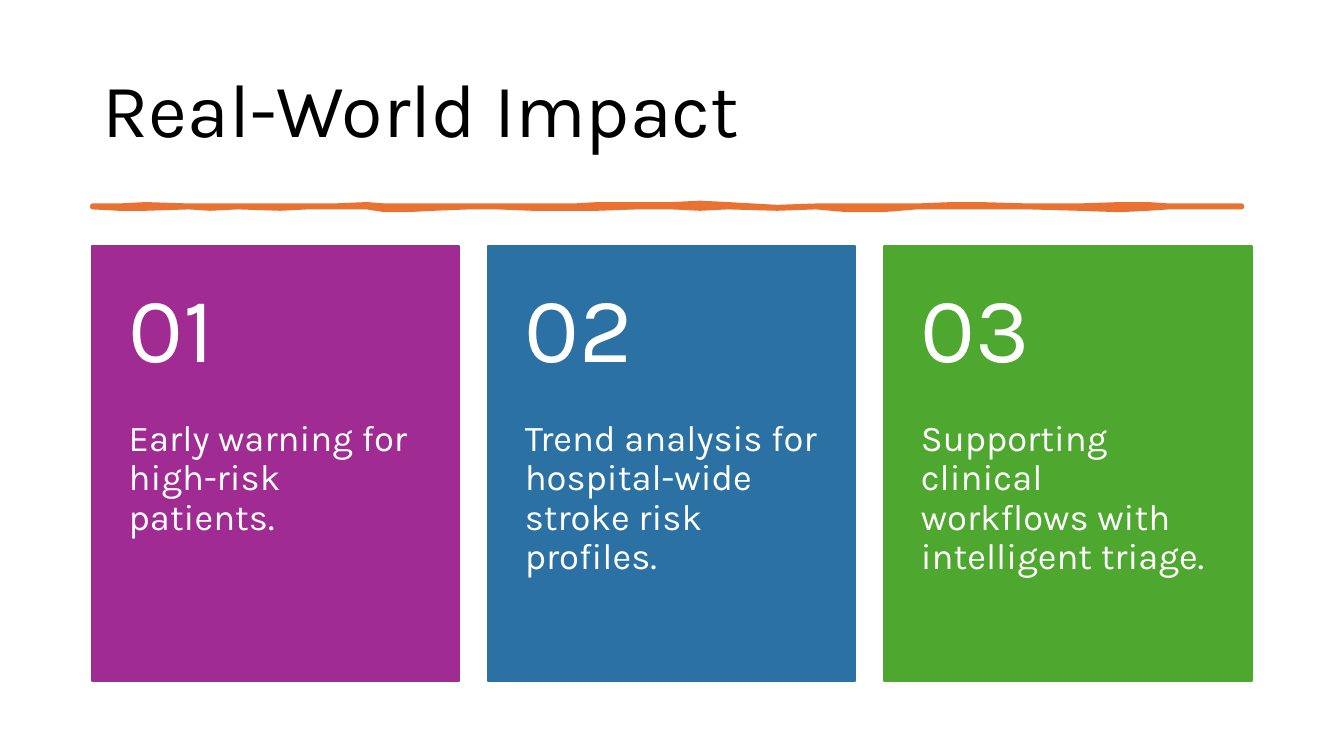
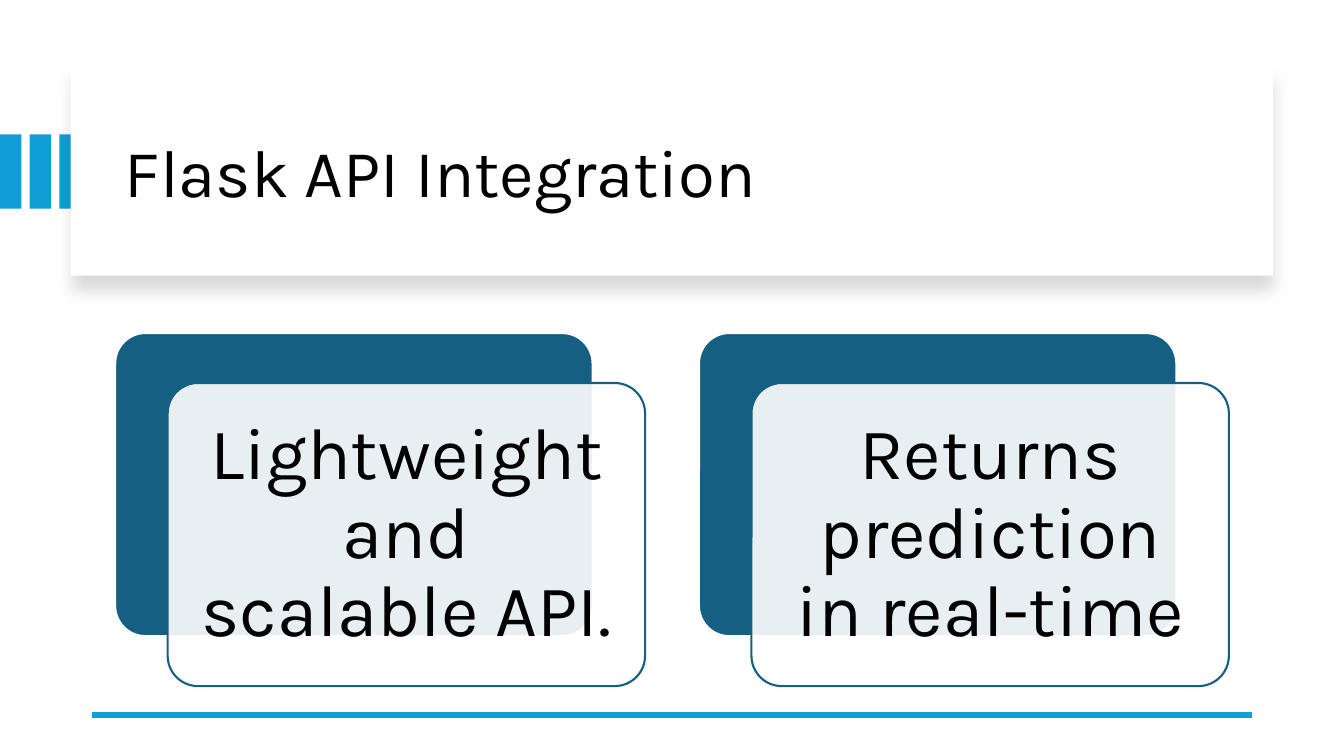
from dataclasses import dataclass

from lxml import etree
from pptx import Presentation
from pptx.dml.color import RGBColor
from pptx.enum.shapes import MSO_CONNECTOR, MSO_SHAPE
from pptx.enum.text import MSO_ANCHOR, MSO_AUTO_SIZE, PP_ALIGN
from pptx.oxml.ns import qn
from pptx.shapes.autoshape import Shape
from pptx.slide import Slide
from pptx.util import Pt

RECT = MSO_SHAPE.RECTANGLE
ROUNDED = MSO_SHAPE.ROUNDED_RECTANGLE
STRAIGHT = MSO_CONNECTOR.STRAIGHT
TOP = MSO_ANCHOR.TOP
MIDDLE = MSO_ANCHOR.MIDDLE
LEFT = PP_ALIGN.LEFT
CENTER = PP_ALIGN.CENTER
NO_AUTOFIT = MSO_AUTO_SIZE.NONE

BLACK = RGBColor(0x00, 0x00, 0x00)
WHITE = RGBColor(0xFF, 0xFF, 0xFF)
ORANGE = RGBColor(0xE9, 0x71, 0x32)
PURPLE = RGBColor(0xA0, 0x2B, 0x93)
BLUE = RGBColor(0x2C, 0x71, 0xA4)
GREEN = RGBColor(0x4E, 0xA7, 0x2E)
SKY = RGBColor(0x0F, 0x9E, 0xD5)
TEAL = RGBColor(0x15, 0x60, 0x82)

FONT = "Karla"
TITLE_ONLY = 5
MARGIN = 66
CONTENT_WIDTH = 828


@dataclass(frozen=True)
class Box:
    left: float
    top: float
    width: float
    height: float

    def lengths(self) -> tuple[Pt, Pt, Pt, Pt]:
        return Pt(self.left), Pt(self.top), Pt(self.width), Pt(self.height)


@dataclass(frozen=True)
class TextStyle:
    size: float
    color: RGBColor
    align: PP_ALIGN = LEFT
    anchor: MSO_ANCHOR = MIDDLE
    insets: tuple[float, float, float, float] = (7.2, 3.6, 7.2, 3.6)


@dataclass(frozen=True)
class Card:
    number: str
    text: str
    color: RGBColor


@dataclass(frozen=True)
class Station:
    x: float
    top: float
    bottom: float


NUMBER_STYLE = TextStyle(66, WHITE, insets=(26, 13, 26, 13))
CARD_STYLE = TextStyle(26, WHITE, anchor=TOP, insets=(26, 0, 26, 26))
PANEL_STYLE = TextStyle(52, BLACK, CENTER, insets=(16, 16, 16, 16))

CARDS = [
    Card("01", "Early warning for high-risk patients.", PURPLE),
    Card("02", "Trend analysis for hospital-wide stroke risk profiles.", BLUE),
    Card("03", "Supporting clinical workflows with intelligent triage.", GREEN),
]
PANELS = ["Lightweight and scalable API.", "Returns prediction in real-time"]

BRUSH = [
    Station(66, 147, 148.3),
    Station(85, 146.6, 148.9),
    Station(104, 146.2, 149.1),
    Station(135, 147.1, 148.4),
    Station(150, 146.9, 149),
    Station(170, 146.6, 148.4),
    Station(200, 147.2, 148.9),
    Station(220, 146.8, 148.1),
    Station(238, 146.8, 147.9),
    Station(262, 146.3, 148.2),
    Station(275, 147, 149.5),
    Station(290, 147.2, 149.8),
    Station(310, 147.1, 149.2),
    Station(335, 146.7, 148.2),
    Station(355, 147.1, 148.3),
    Station(380, 147.4, 149.1),
    Station(410, 147.2, 148.9),
    Station(427, 146.3, 148.7),
    Station(455, 146.5, 148.2),
    Station(480, 145.7, 148.4),
    Station(500, 145.4, 148.7),
    Station(520, 146.2, 148.2),
    Station(555, 147.8, 148.8),
    Station(583, 146.8, 148.1),
    Station(605, 147.3, 149.7),
    Station(630, 147.2, 149.5),
    Station(655, 147, 148.3),
    Station(680, 145.6, 148.3),
    Station(700, 146, 148.2),
    Station(735, 146.9, 148.4),
    Station(770, 147, 149),
    Station(800, 146.4, 149.5),
    Station(820, 146.4, 149.4),
    Station(835, 147.2, 148.3),
    Station(860, 146.8, 147.7),
    Station(887, 147, 148.3),
]


def add_box(s: Slide, kind: MSO_SHAPE, box: Box, fill: RGBColor,
            line: RGBColor | None = None) -> Shape:
    sp = s.shapes.add_shape(kind, *box.lengths())
    sp.shadow.inherit = False
    sp.fill.solid()
    sp.fill.fore_color.rgb = fill
    if line is None:
        sp.line.fill.background()
    else:
        sp.line.color.rgb = line
        sp.line.width = Pt(1.5)
    return sp


def set_text(sp: Shape, text: str, style: TextStyle) -> None:
    tf = sp.text_frame
    tf.word_wrap = True
    tf.auto_size = NO_AUTOFIT
    tf.vertical_anchor = style.anchor
    tf.margin_left, tf.margin_top, tf.margin_right, tf.margin_bottom = map(Pt, style.insets)
    tf.text = text
    p = tf.paragraphs[0]
    p.alignment = style.align
    p.line_spacing = 0.9
    p.font.name = FONT
    p.font.size = Pt(style.size)
    p.font.color.rgb = style.color


def add_text(s: Slide, text: str, box: Box, style: TextStyle) -> None:
    set_text(s.shapes.add_textbox(*box.lengths()), text, style)


def add_title(s: Slide, text: str, box: Box, size: float) -> None:
    sp = s.shapes.title
    sp.left, sp.top, sp.width, sp.height = box.lengths()
    set_text(sp, text, TextStyle(size, BLACK))
    s.shapes._spTree.append(sp._element)


def add_alpha(color: etree._Element, percent: int) -> None:
    etree.SubElement(color, qn("a:alpha"), val=str(percent * 1000))


def add_soft_shadow(sp: Shape) -> None:
    effects = sp._element.spPr.find(qn("a:effectLst"))
    shadow = etree.SubElement(effects, qn("a:outerShdw"), blurRad=str(Pt(11)),
                              dist=str(Pt(10)), dir="5400000", algn="t", rotWithShape="0")
    add_alpha(etree.SubElement(shadow, qn("a:srgbClr"), val=str(BLACK)), 15)


def add_brush_line(s: Slide) -> None:
    outline = [(st.x, st.top) for st in BRUSH]
    outline += [(st.x, st.bottom) for st in reversed(BRUSH)]
    builder = s.shapes.build_freeform(*outline[0], scale=Pt(1))
    builder.add_line_segments(outline[1:], close=True)
    sp = builder.convert_to_shape()
    sp.shadow.inherit = False
    sp.fill.solid()
    sp.fill.fore_color.rgb = ORANGE
    sp.line.color.rgb = ORANGE
    sp.line.width = Pt(3.25)
    etree.SubElement(sp._element.spPr.find(qn("a:ln")), qn("a:round"))


def add_card(s: Slide, card: Card, box: Box) -> None:
    number_height = box.height * 0.4
    add_box(s, RECT, box, card.color, card.color)
    add_text(s, card.text, Box(box.left, box.top + number_height, box.width,
                               box.height - number_height), CARD_STYLE)
    add_text(s, card.number, Box(box.left, box.top, box.width, number_height), NUMBER_STYLE)


def add_panel(s: Slide, text: str, box: Box) -> None:
    front = Box(box.left + 37.5, box.top + 35.7, box.width, box.height)
    back_sp = add_box(s, ROUNDED, box, TEAL, WHITE)
    front_sp = add_box(s, ROUNDED, front, WHITE, TEAL)
    for sp in (back_sp, front_sp):
        sp.adjustments[0] = 0.1
    add_alpha(front_sp._element.spPr.find(qn("a:solidFill")).find(qn("a:srgbClr")), 90)
    pad = 6.4
    add_text(s, text, Box(front.left + pad, front.top + pad, front.width - 2 * pad,
                          front.height - 2 * pad), PANEL_STYLE)


def add_rule(s: Slide, y: float) -> None:
    rule = s.shapes.add_connector(STRAIGHT, Pt(MARGIN + CONTENT_WIDTH), Pt(y), Pt(MARGIN), Pt(y))
    rule.line.color.rgb = SKY
    rule.line.width = Pt(4.5)
    etree.SubElement(rule._element.spPr, qn("a:effectLst"))


def build_impact(s: Slide) -> None:
    add_title(s, "Real-World Impact", Box(MARGIN, 28.8, CONTENT_WIDTH, 104.4), 54)
    add_brush_line(s)
    gap = 20.7
    width = (CONTENT_WIDTH - gap * (len(CARDS) - 1)) / len(CARDS)
    for i, card in enumerate(CARDS):
        add_card(s, card, Box(MARGIN + i * (width + gap), 175.7, width, 311))


def build_integration(s: Slide) -> None:
    for i in range(3):
        add_box(s, RECT, Box(i * 21.2, 96, 15.3, 53), SKY)
    add_soft_shadow(add_box(s, RECT, Box(50.5, 48, 859, 149), WHITE))
    add_title(s, "Flask API Integration", Box(82, 64, 801.5, 122.4), 48)
    add_rule(s, 510.5)
    for i, text in enumerate(PANELS):
        add_panel(s, text, Box(82.3 + i * 417, 237.9, 341, 216.5))


def main() -> None:
    prs = Presentation()
    prs.slide_width, prs.slide_height = Pt(960), Pt(540)
    for build in (build_impact, build_integration):
        build(prs.slides.add_slide(prs.slide_layouts[TITLE_ONLY]))
    prs.save("out.pptx")


if __name__ == "__main__":
    main()
